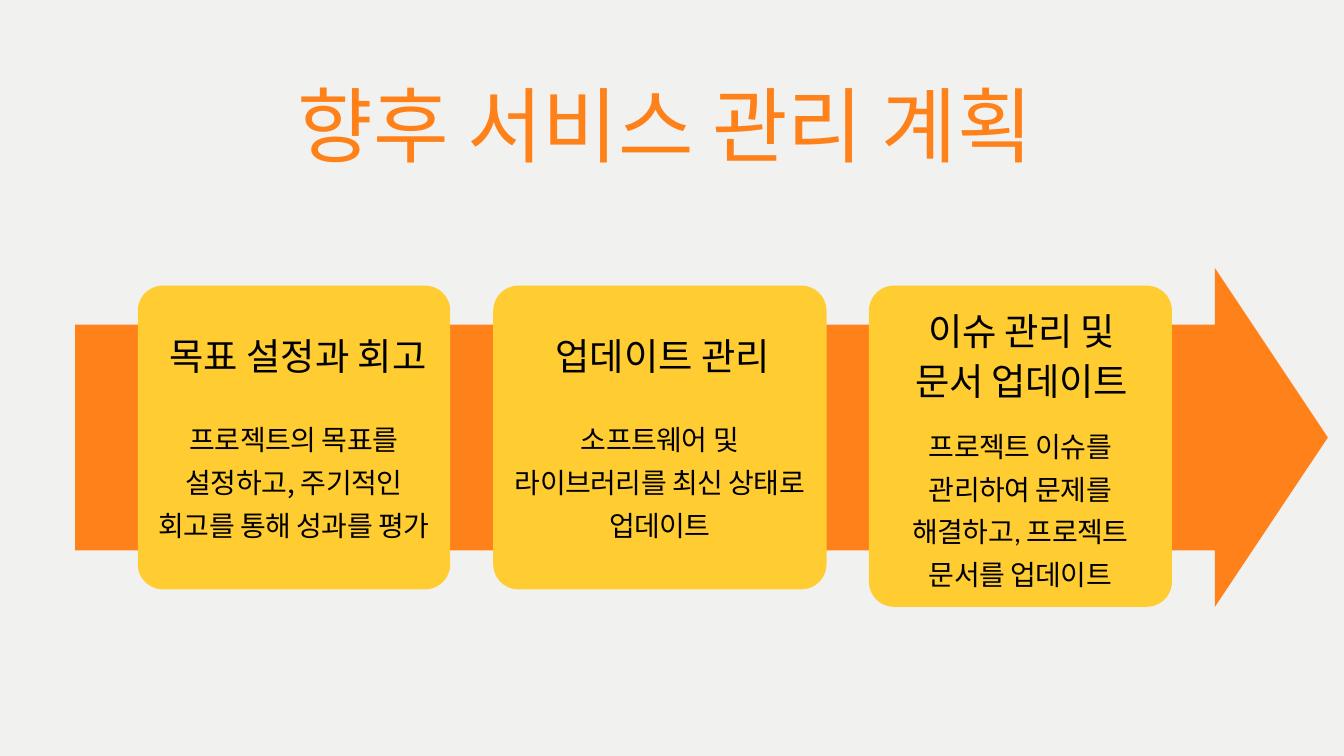
from dataclasses import dataclass

from pptx import Presentation
from pptx.dml.color import RGBColor
from pptx.enum.shapes import MSO_SHAPE
from pptx.enum.text import PP_ALIGN
from pptx.util import Inches, Pt

ARROW = MSO_SHAPE.RIGHT_ARROW
ROUNDED = MSO_SHAPE.ROUNDED_RECTANGLE
CENTER = PP_ALIGN.CENTER

COLORS = {"page": "F1F1F0", "orange": "FF811A", "yellow": "FFCC32", "text": "000000"}
LATIN, KOREAN = "Calibri", "Noto Sans CJK KR"

# The slide is a grid of square cells, one inch each.
COLUMNS, ROWS = 20, 11.25
CARD_TOP = 4.25
CORNER = 0.375


@dataclass(frozen=True)
class Area:
    left: float
    top: float
    width: float
    height: float

    def emu(self) -> list[int]:
        return [Inches(cells) for cells in (self.left, self.top, self.width, self.height)]


@dataclass(frozen=True)
class TextBlock:
    area: Area
    lines: tuple[str, ...]
    fonts: tuple[str, ...]
    spacing: float
    tracking: float = 0


@dataclass(frozen=True)
class Card:
    left: float
    width: float
    height: float
    heading: TextBlock
    body: TextBlock


CARDS = (
    Card(
        2.05, 4.65, 4.52,
        TextBlock(Area(2.37, 4.96, 4.13, 0.68), ("목표 설정과 회고",), (LATIN,), 48),
        TextBlock(
            Area(2.05, 6.16, 4.65, 1.88),
            ("프로젝트의 목표를", "설정하고, 주기적인", "회고를 통해 성과를 평가"),
            (LATIN, KOREAN, KOREAN), 45.6, -0.5,
        ),
    ),
    Card(
        7.34, 4.96, 4.52,
        TextBlock(Area(7.6, 4.96, 4.52, 0.68), ("업데이트 관리",), (KOREAN,), 48),
        TextBlock(
            Area(7.34, 6.16, 4.96, 1.88),
            ("소프트웨어 및", "라이브러리를 최신 상태로", "업데이트"),
            (KOREAN, LATIN, LATIN), 45.6, -0.5,
        ),
    ),
    Card(
        12.93, 4.51, 4.78,
        TextBlock(
            Area(13.14, 4.52, 4.13, 1.5),
            ("이슈 관리 및", "문서 업데이트"), (LATIN,) * 2, 53.2, -0.4,
        ),
        TextBlock(
            Area(13.12, 6.26, 4.13, 2.51),
            ("프로젝트 이슈를", "관리하여 문제를", "해결하고, 프로젝트", "문서를 업데이트"),
            (LATIN,) * 4, 45.6, -0.5,
        ),
    ),
)
TITLE = TextBlock(Area(1.12, 1.11, 17.56, 1.47), ("향후 서비스 관리 계획",), (LATIN,), 105.6)


def color(name: str) -> RGBColor:
    return RGBColor.from_string(COLORS[name])


def add_panel(page, kind, area: Area, *, fill: str, adjustments: tuple[float, ...]) -> None:
    panel = page.shapes.add_shape(kind, *area.emu())
    panel.shadow.inherit = False
    panel.fill.solid()
    panel.fill.fore_color.rgb = color(fill)
    panel.line.fill.background()
    for index, value in enumerate(adjustments):
        panel.adjustments[index] = value


def add_text(page, block: TextBlock, *, size: float, ink: str = "text") -> None:
    """Place centred lines, one paragraph each, in a box without margins."""
    frame = page.shapes.add_textbox(*block.area.emu()).text_frame
    frame.word_wrap = True
    frame.margin_left = frame.margin_right = frame.margin_top = frame.margin_bottom = 0
    for index, (line, font_name) in enumerate(zip(block.lines, block.fonts)):
        para = frame.add_paragraph() if index else frame.paragraphs[0]
        para.alignment = CENTER
        para.line_spacing = Pt(block.spacing)
        span = para.add_run()
        span.text = line
        span.font.name = font_name
        span.font.size = Pt(size)
        span.font.color.rgb = color(ink)
        if block.tracking:
            span.font._element.set("spc", str(round(block.tracking * 100)))


def main() -> None:
    deck = Presentation()
    deck.slide_width, deck.slide_height = Inches(COLUMNS), Inches(ROWS)
    page = deck.slides.add_slide(deck.slide_layouts[6])
    page.background.fill.solid()
    page.background.fill.fore_color.rgb = color("page")

    add_panel(page, ARROW, Area(1.12, 3.99, 18.64, 5.04), fill="orange",
              adjustments=(2 / 3, 1 / 3))
    for card in CARDS:
        add_panel(page, ROUNDED, Area(card.left, CARD_TOP, card.width, card.height),
                  fill="yellow", adjustments=(CORNER / min(card.width, card.height),))
    for card in CARDS:
        add_text(page, card.heading, size=40)
        add_text(page, card.body, size=30)
    add_text(page, TITLE, size=88, ink="orange")
    deck.save("out.pptx")


if __name__ == "__main__":
    main()
